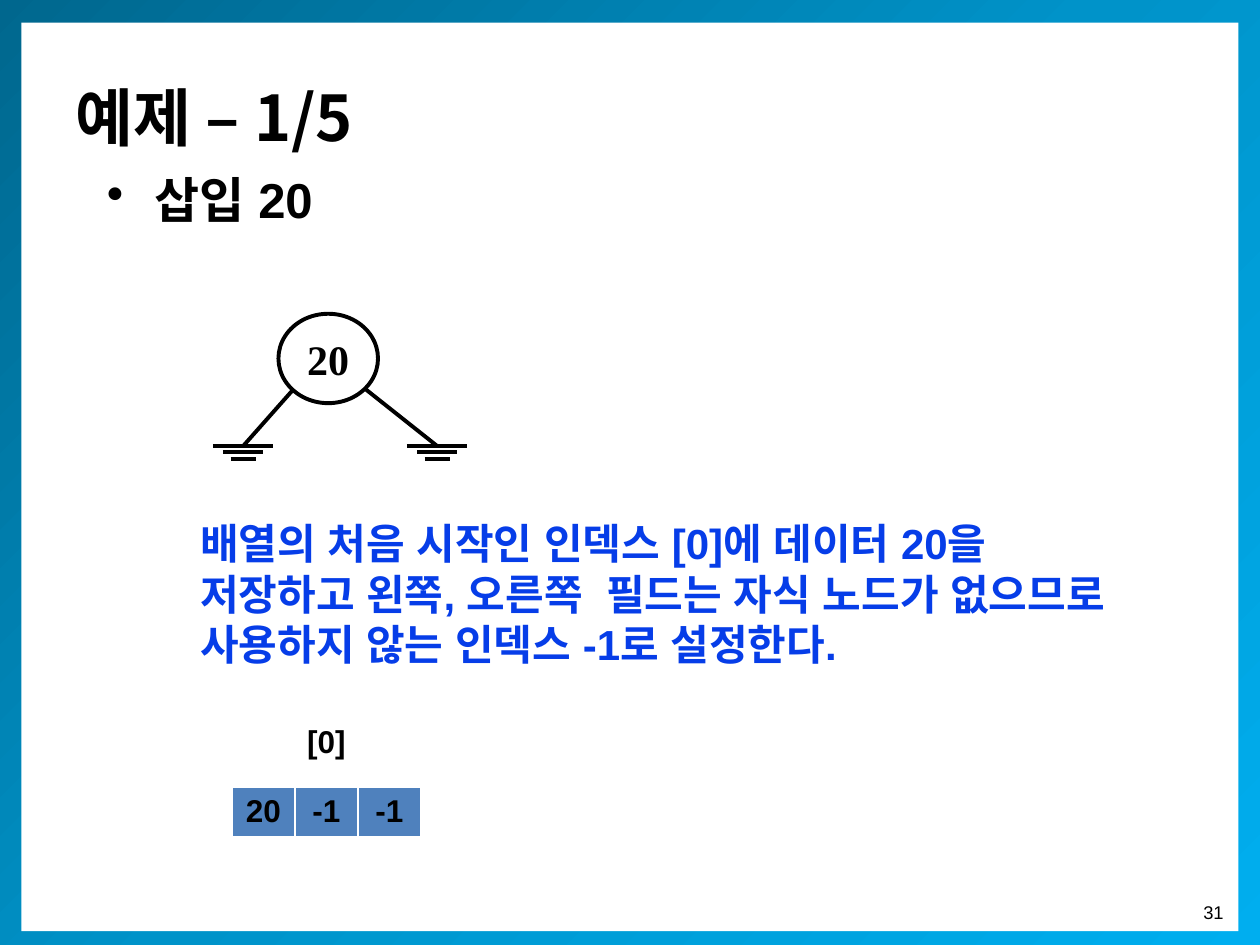
import pptx
import pptx.util
import pptx.dml.color
import pptx.enum.shapes
import pptx.enum.text
import pptx.oxml.ns
from lxml import etree

In, Pt = pptx.util.Inches, pptx.util.Pt
RGB = pptx.dml.color.RGBColor
SHAPE = pptx.enum.shapes.MSO_SHAPE
ALIGN, ANCHOR = pptx.enum.text.PP_ALIGN, pptx.enum.text.MSO_ANCHOR
qn = pptx.oxml.ns.qn

# Content
TITLE = "예제 – 1/5"
BULLET = "삽입 20"
NOTE = ("배열의 처음 시작인 인덱스 [0]에 데이터 20을 저장하고 왼쪽, 오른쪽  필드는 "
        "자식 노드가 없으므로 사용하지 않는 인덱스 -1로 설정한다.")
PAGE = "31"
ROOT = "20"
INDEX = ["[0]"]
NODE = ["20", "-1", "-1"]

# Style
C = {"back": "D9D9D9", "paper": "FFFFFF", "ink": "000000", "note": "063DE8", "cell": "4F81BD"}
FRAME = [(0, "00678E"), (50, "0093C9"), (100, "00AEEF")]
SANS, SERIF, KOREAN = "Arial", "Times New Roman", "Noto Sans CJK KR"
STROKE = 2.25

# Layout in inches
W, H = 10, 7.5
TABLE_X, TABLE_W = 1.84, 1.5
GROUND_Y = 3.54
GROUND_BARS = [(0, 0.48), (0.05, 0.32), (0.1, 0.2)]  # drop, width
BRANCHES = [((2.32, 3.1), 1.93), ((2.89, 3.08), 3.47)]  # start, ground centre


def write(tf, text, size, font=SANS, color="ink", bold=True, **fmt):
    p = tf.paragraphs[0]
    for name, value in fmt.items():
        setattr(p, name, value)
    r = p.add_run()
    r.text = text
    for name, value in {"size": Pt(size), "name": font, "bold": bold}.items():
        setattr(r.font, name, value)
    r.font.color.rgb = RGB.from_string(C[color])
    etree.SubElement(r._r.get_or_add_rPr(), qn("a:ea"), typeface=font)
    return p


def frame_of(sp, wrap=True, anchor=ANCHOR.TOP):
    tf = sp.text_frame
    margins = {"margin_left": In(0.1), "margin_right": In(0.1),
               "margin_top": In(0.05), "margin_bottom": In(0.05)}
    for name, value in {"word_wrap": wrap, "vertical_anchor": anchor, **margins}.items():
        setattr(tf, name, value)
    return tf


def text_box(s, box, **kw):
    return frame_of(s.shapes.add_textbox(*map(In, box)), **kw)


def indent(p, left, first):
    pPr = p._p.get_or_add_pPr()
    pPr.set("marL", str(In(left)))
    pPr.set("indent", str(In(first)))
    return pPr


def shape(s, kind, box):
    sp = s.shapes.add_shape(kind, *map(In, box))
    sp.shadow.inherit = False
    return sp


def line(s, start, end):
    cn = s.shapes.add_connector(pptx.enum.shapes.MSO_CONNECTOR.STRAIGHT,
                                *map(In, (*start, *end)))
    cn.line.color.rgb = RGB.from_string(C["ink"])
    cn.line.width = Pt(STROKE)
    etree.SubElement(cn._element.spPr, qn("a:effectLst"))


def table(s, texts, top, height, fill=None):
    gf = s.shapes.add_table(1, len(texts), *map(In, (TABLE_X, top, TABLE_W, height)))
    t = gf.table
    t.first_row = t.horz_banding = False
    t.rows[0].height = In(height)
    for i, text in enumerate(texts):
        t.columns[i].width = In(TABLE_W / len(texts))
        cell = t.cell(0, i)
        write(cell.text_frame, text, 18, alignment=ALIGN.CENTER)
        tcPr = cell._tc.get_or_add_tcPr()
        for side, width in {"L": 1, "R": 1, "T": 1, "B": 3}.items():
            ln = etree.SubElement(tcPr, qn("a:ln" + side), w=str(Pt(width)))
            solid = etree.SubElement(ln, qn("a:solidFill"))
            etree.SubElement(solid, qn("a:srgbClr"), val=C["paper"])
        if fill:
            cell.fill.solid()
            cell.fill.fore_color.rgb = RGB.from_string(C[fill])
        else:
            cell.fill.background()


prs = pptx.Presentation()
prs.slide_width, prs.slide_height = In(W), In(H)
s = prs.slides.add_slide(prs.slide_layouts[6])
s.background.fill.solid()
s.background.fill.fore_color.rgb = RGB.from_string(C["back"])

# Gradient frame and white page
sp = shape(s, SHAPE.RECTANGLE, (0, -0.04, W, 7.59))
sp.line.fill.background()
sp.fill.gradient()
sp.fill.gradient_angle = 315
stops = sp._element.spPr.find(".//" + qn("a:gsLst"))
for old in list(stops):
    stops.remove(old)
for pos, color in FRAME:
    gs = etree.SubElement(stops, qn("a:gs"), pos=str(pos * 1000))
    etree.SubElement(gs, qn("a:srgbClr"), val=color)

sp = shape(s, SHAPE.RECTANGLE, (0.17, 0.18, 9.66, 7.21))
sp.line.fill.background()
sp.fill.solid()
sp.fill.fore_color.rgb = RGB.from_string(C["paper"])

# Page number, title, bullet and explanation
write(text_box(s, (9.42, 7.1, 0.39, 0.28), wrap=False), PAGE, 10.5,
      bold=False, alignment=ALIGN.RIGHT)
write(text_box(s, (0.5, 0.3, 9, 1.25), anchor=ANCHOR.MIDDLE), TITLE, 36, font=KOREAN)
p = write(text_box(s, (0.75, 1.3, 8.35, 0.83)), BULLET, 28, space_before=Pt(5.6))
etree.SubElement(indent(p, 0.38, -0.38), qn("a:buChar"), char="•")
p = write(text_box(s, (1.05, 4.06, 8.03, 1.51)), NOTE, 24, color="note",
          space_before=Pt(4.8))
indent(p, 0.44, 0)

# Tree: root node, branches and ground symbols
sp = shape(s, SHAPE.OVAL, (2.21, 2.49, 0.79, 0.71))
sp.fill.background()
sp.line.color.rgb = RGB.from_string(C["ink"])
sp.line.width = Pt(STROKE)
write(frame_of(sp, wrap=False, anchor=ANCHOR.MIDDLE), ROOT, 24, font=SERIF,
      alignment=ALIGN.CENTER)
for start, x in BRANCHES:
    line(s, start, (x, GROUND_Y))
    for drop, width in GROUND_BARS:
        y = GROUND_Y + drop
        line(s, (x - width / 2, y), (x + width / 2, y))

# Array: index above its record
table(s, INDEX, 5.7, 0.54)
table(s, NODE, 6.25, 0.4, fill="cell")

prs.save("out.pptx")
